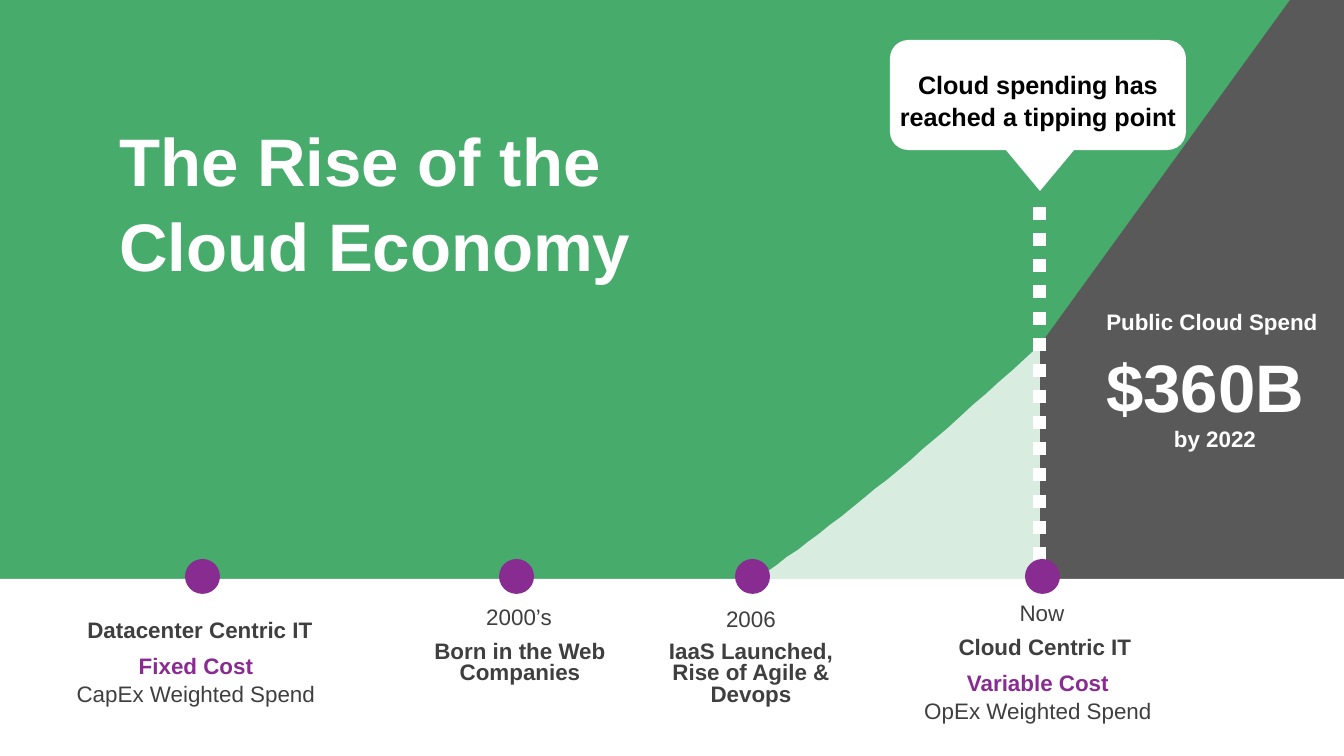
from lxml import etree
from pptx import Presentation
from pptx.dml.color import RGBColor
from pptx.enum.dml import MSO_LINE
from pptx.enum.shapes import MSO_CONNECTOR, MSO_SHAPE
from pptx.enum.text import MSO_ANCHOR, MSO_AUTO_SIZE, PP_ALIGN
from pptx.oxml.ns import qn
from pptx.util import Emu, Pt

EMU_PER_PX = 914400 / 134.4
WIDTH, HEIGHT = 1344, 756
HORIZON = 579
TIPPING_X, TIPPING_Y = 1040, 345
TITLE_ONLY = 5

RECTANGLE = MSO_SHAPE.RECTANGLE
ROUNDED = MSO_SHAPE.ROUNDED_RECTANGLE
OVAL = MSO_SHAPE.OVAL
TOP, MIDDLE = MSO_ANCHOR.TOP, MSO_ANCHOR.MIDDLE
LEFT, CENTER = PP_ALIGN.LEFT, PP_ALIGN.CENTER

GREEN, GREY, WHITE, BLACK = "47AB6C", "595959", "FFFFFF", "000000"
PURPLE, TEXT_GREY = "892C92", "3F3F3F"


def px(value):
    return Emu(round(value * EMU_PER_PX))


def color(hex_string):
    return RGBColor.from_string(hex_string)


def curve_points(start, control, end, steps=24):
    """Points along a quadratic Bezier curve."""
    points = []
    for step in range(steps + 1):
        t = step / steps
        points.append(tuple(
            round((1 - t) ** 2 * a + 2 * t * (1 - t) * b + t ** 2 * c)
            for a, b, c in zip(start, control, end)))
    return points


class SlideBuilder:
    font_name = "Arial"
    line_spacing = 1.05
    tight_spacing = 0.8

    def __init__(self, slide):
        self.slide = slide
        fill = slide.background.fill
        fill.solid()
        fill.fore_color.rgb = color(GREEN)

    def paint(self, shape, fill, opacity=None):
        shape.shadow.inherit = False
        shape.fill.solid()
        shape.fill.fore_color.rgb = color(fill)
        shape.line.fill.background()
        if opacity is not None:
            rgb = shape.fill._xPr.find(".//" + qn("a:srgbClr"))
            etree.SubElement(rgb, qn("a:alpha"), val=str(opacity * 1000))

    def shape(self, kind, left, top, width, height, fill):
        shape = self.slide.shapes.add_shape(
            kind, px(left), px(top), px(width), px(height))
        self.paint(shape, fill)

    def polygon(self, points, fill, opacity=None):
        builder = self.slide.shapes.build_freeform(*points[0], scale=EMU_PER_PX)
        builder.add_line_segments(points[1:], close=True)
        self.paint(builder.convert_to_shape(), fill, opacity)

    def dotted_line(self, x, top, bottom, width):
        line = self.slide.shapes.add_connector(
            MSO_CONNECTOR.STRAIGHT, px(x), px(top), px(x), px(bottom))
        line.line.color.rgb = color(WHITE)
        line.line.width = Pt(width)
        line.line.dash_style = MSO_LINE.ROUND_DOT
        properties = line._element.spPr
        etree.SubElement(properties, qn("a:effectLst"))

    def style_paragraph(self, paragraph, size, text_color, bold, align, spacing):
        paragraph.alignment = align
        paragraph.line_spacing = spacing
        paragraph.font.name = self.font_name
        paragraph.font.size = Pt(size)
        paragraph.font.bold = bold
        paragraph.font.color.rgb = color(text_color)

    def title(self, text, left, top, width, height):
        title = self.slide.shapes.title
        title.left, title.top = px(left), px(top)
        title.width, title.height = px(width), px(height)
        frame = title.text_frame
        frame.text = text
        frame.word_wrap = True
        frame.auto_size = MSO_AUTO_SIZE.NONE
        frame.vertical_anchor = TOP
        self.style_paragraph(frame.paragraphs[0], 36, WHITE, True, LEFT,
                             self.line_spacing)

    def text(self, lines, left, top, width, height, size=12, inset=4,
             anchor=TOP, spacing=None):
        """Centred text box; each line is (text, colour, bold)."""
        box = self.slide.shapes.add_textbox(
            px(left), px(top), px(width), px(height))
        frame = box.text_frame
        frame.word_wrap = True
        frame.vertical_anchor = anchor
        frame.margin_left = frame.margin_right = px(inset)
        frame.margin_top = frame.margin_bottom = px(inset)
        for index, (content, text_color, bold) in enumerate(lines):
            paragraph = frame.add_paragraph() if index else frame.paragraphs[0]
            paragraph.text = content
            self.style_paragraph(paragraph, size, text_color, bold, CENTER,
                                 spacing or self.line_spacing)

    def year(self, text, left, top, width):
        self.text([(text, TEXT_GREY, False)], left, top, width, 35,
                  anchor=MIDDLE)

    def heading(self, text, left, top, width, height):
        self.text([(text, TEXT_GREY, True)], left, top, width, height,
                  spacing=self.tight_spacing)

    def cost(self, kind, spend, left, top, width):
        self.text([(kind, PURPLE, True), (spend, TEXT_GREY, False)],
                  left, top, width, 62)


def main():
    presentation = Presentation()
    presentation.slide_width, presentation.slide_height = px(WIDTH), px(HEIGHT)
    slide = presentation.slides.add_slide(
        presentation.slide_layouts[TITLE_ONLY])
    builder = SlideBuilder(slide)
    builder.title("The Rise of the Cloud Economy", 106, 109, 543, 194)

    # Spending areas before and after the tipping point
    early_growth = curve_points((757, HORIZON), (875, 497),
                                (TIPPING_X, TIPPING_Y))
    builder.polygon(early_growth + [(TIPPING_X, HORIZON)], WHITE, opacity=79)
    builder.polygon([(TIPPING_X, HORIZON), (TIPPING_X, TIPPING_Y), (1290, 0),
                     (WIDTH, 0), (WIDTH, HORIZON)], GREY)
    builder.shape(RECTANGLE, 0, HORIZON, WIDTH, HEIGHT - HORIZON, WHITE)

    # Callout
    builder.polygon([(1005, 149), (1075, 149), (TIPPING_X, 191)], WHITE)
    builder.shape(ROUNDED, 890, 40, 296, 110, WHITE)
    builder.text([("Cloud spending has reached a tipping point", BLACK, True)],
                 890, 63, 296, 71, size=13.5, inset=5)
    builder.dotted_line(TIPPING_X, 207, HORIZON, 7)

    # Spending forecast
    for text, center, top, height, size, inset in (
            ("Public Cloud Spend", 1212, 302, 38, 12, 5),
            ("$360B", 1205, 332, 102, 36, 9),
            ("by 2022", 1215, 415, 47, 12, 9)):
        builder.text([(text, WHITE, True)], center - 125, top, 250, height,
                     size=size, inset=inset)

    # Timeline
    dot_size = 35
    for dot_left in (185, 499, 735, 1025):
        builder.shape(OVAL, dot_left, 559, dot_size, dot_size, PURPLE)

    builder.year("2000’s", 476, 598, 86)
    builder.year("2006", 710, 600, 82)
    builder.year("Now", 986, 594, 112)

    builder.heading("Datacenter Centric IT", 55, 617, 290, 30)
    builder.heading("Born in the Web Companies", 407, 638, 226, 51)
    builder.heading("IaaS Launched, Rise of Agile & Devops", 645, 638, 212, 73)
    builder.heading("Cloud Centric IT", 892, 634, 306, 30)

    builder.cost("Fixed Cost", "CapEx Weighted Spend", 55, 647, 282)
    builder.cost("Variable Cost", "OpEx Weighted Spend", 892, 664, 292)

    presentation.save("out.pptx")


if __name__ == "__main__":
    main()
